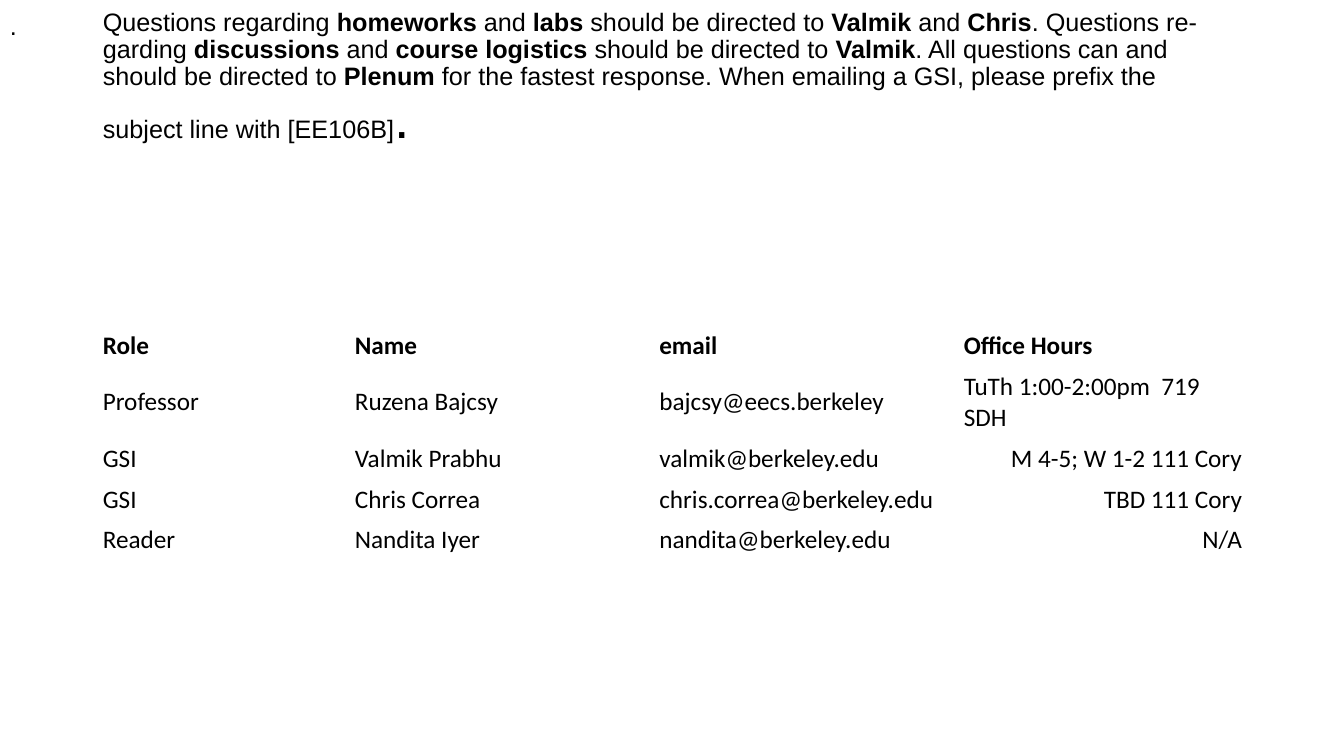
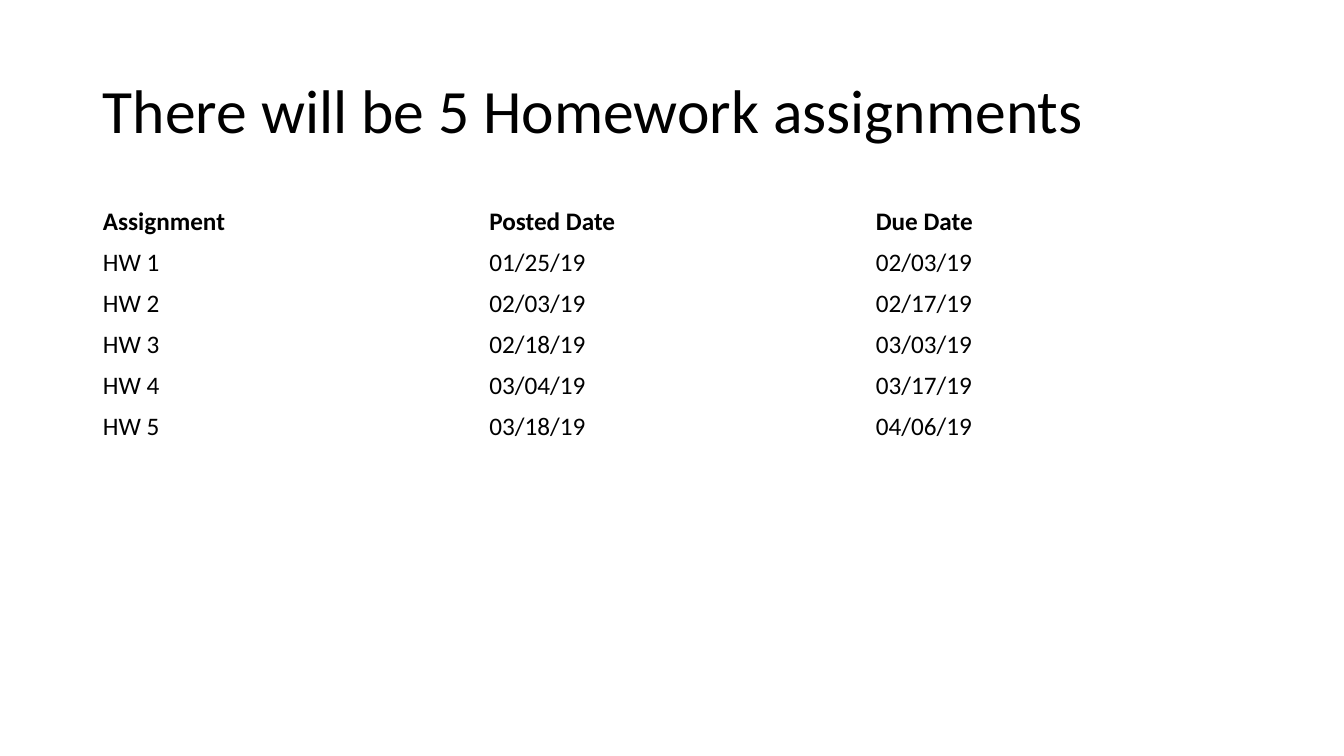
import pptx
import pptx.util
import pptx.dml.color
import pptx.enum.text
import lxml.etree

In, Pt = pptx.util.Inches, pptx.util.Pt
ALIGN = pptx.enum.text.PP_ALIGN
MIDDLE = pptx.enum.text.MSO_ANCHOR.MIDDLE
FIT = pptx.enum.text.MSO_AUTO_SIZE

# Content: * marks the start and end of bold words
CONTACT = (
    "Questions regarding *homeworks* and *labs* should be directed to *Valmik* and *Chris*. Questions re-",
    "garding *discussions* and *course logistics* should be directed to *Valmik*. All questions can and "
    "should be directed to *Plenum* for the fastest response. When emailing a GSI, please prefix the "
    "subject line with [EE106B]",
)
STAFF = [
    ("Role", "Name", "email", "Office Hours"),
    ("Professor", "Ruzena Bajcsy", "bajcsy@eecs.berkeley", "TuTh 1:00-2:00pm  719 SDH"),
    ("GSI", "Valmik Prabhu", "valmik@berkeley.edu", "M 4-5; W 1-2 111 Cory"),
    ("GSI", "Chris Correa", "chris.correa@berkeley.edu", "TBD 111 Cory"),
    ("Reader", "Nandita Iyer", "nandita@berkeley.edu", "N/A"),
]
HOMEWORK_TITLE = "There will be 5 Homework assignments"
HOMEWORK = [
    ("Assignment", "Posted Date", "Due Date"),
    ("HW 1", "01/25/19", "02/03/19"),
    ("HW 2", "02/03/19", "02/17/19"),
    ("HW 3", "02/18/19", "03/03/19"),
    ("HW 4", "03/04/19", "03/17/19"),
    ("HW 5", "03/18/19", "04/06/19"),
]

# Shared look
COLORS = {"text": "000000"}
LEFT, WIDTH, ROW = 0.92, 11.5, 0.4
BODY, DOT, HEADING = 18, 39.6, 44


def style(font, size, name, bold=None):
    font.size, font.name, font.bold = Pt(size), name, bold
    font.color.rgb = pptx.dml.color.RGBColor.from_string(COLORS["text"])


def add_titled_slide(prs):
    s = prs.slides.add_slide(prs.slide_layouts[5])
    title = s.shapes.title
    title.left, title.top, title.width, title.height = In(LEFT), In(0.4), In(WIDTH), In(1.45)
    tf = title.text_frame
    tf.word_wrap, tf.auto_size, tf.vertical_anchor = True, FIT.NONE, MIDDLE
    p = tf.paragraphs[0]
    p.alignment, p.line_spacing = ALIGN.LEFT, 0.9
    return s, p


def add_run(p, text, size, bold):
    r = p.add_run()
    r.text = text
    style(r.font, size, "Arial", bold)


def add_break(p, size):
    """Line break whose height follows the given text size."""
    p.add_line_break()
    br = p._p.findall(pptx.oxml.ns.qn("a:br"))[-1]
    lxml.etree.SubElement(br, pptx.oxml.ns.qn("a:rPr"), sz=str(round(size * 100)))


def add_plain_table(s, rows, top, widths, inset=0.1, right_cells=()):
    """Unfilled table; inset is the left margin after the first column."""
    table = s.shapes.add_table(len(rows), len(widths), In(LEFT), In(top),
                               In(WIDTH), In(ROW * len(rows))).table
    table.first_row = table.horz_banding = False
    for column, width in zip(table.columns, widths):
        column.width = In(width)
    for i, row in enumerate(rows):
        table.rows[i].height = In(ROW)
        for j, text in enumerate(row):
            cell = table.cell(i, j)
            cell.fill.background()
            cell.vertical_anchor = MIDDLE
            cell.margin_left = In(inset if j else 0.1)
            cell.text = text
            p = cell.text_frame.paragraphs[0]
            style(p.font, BODY, "Calibri", i == 0)
            if (i, j) in right_cells:
                p.alignment = ALIGN.RIGHT


def build_staff(prs):
    s, p = add_titled_slide(prs)
    style(p.font, DOT, "Arial")
    for i, line in enumerate(CONTACT):
        if i:
            add_break(p, BODY)
        for j, part in enumerate(line.split("*")):
            add_run(p, part, BODY, j % 2 == 1)
    add_run(p, ".", DOT, False)
    add_break(p, DOT)

    first = 2.44
    widths = [first] + [(WIDTH - first) / 3] * 3
    add_plain_table(s, STAFF, 3.23, widths, 0.16, [(i, 3) for i in (2, 3, 4)])

    # Lone dot in the corner
    tf = s.shapes.add_textbox(0, In(0.05), In(0.27), In(0.4)).text_frame
    tf.word_wrap, tf.auto_size, tf.vertical_anchor = False, FIT.SHAPE_TO_FIT_TEXT, MIDDLE
    tf.text = "."
    style(tf.paragraphs[0].font, BODY, "Arial")


def build_homework(prs):
    s, p = add_titled_slide(prs)
    p.text = HOMEWORK_TITLE
    style(p.font, HEADING, "Calibri")
    add_plain_table(s, HOMEWORK, 2, [WIDTH / 3] * 3)


def main():
    prs = pptx.Presentation()
    prs.slide_width, prs.slide_height = In(13.33), In(7.5)
    build_staff(prs)
    build_homework(prs)
    prs.save("out.pptx")


if __name__ == "__main__":
    main()
